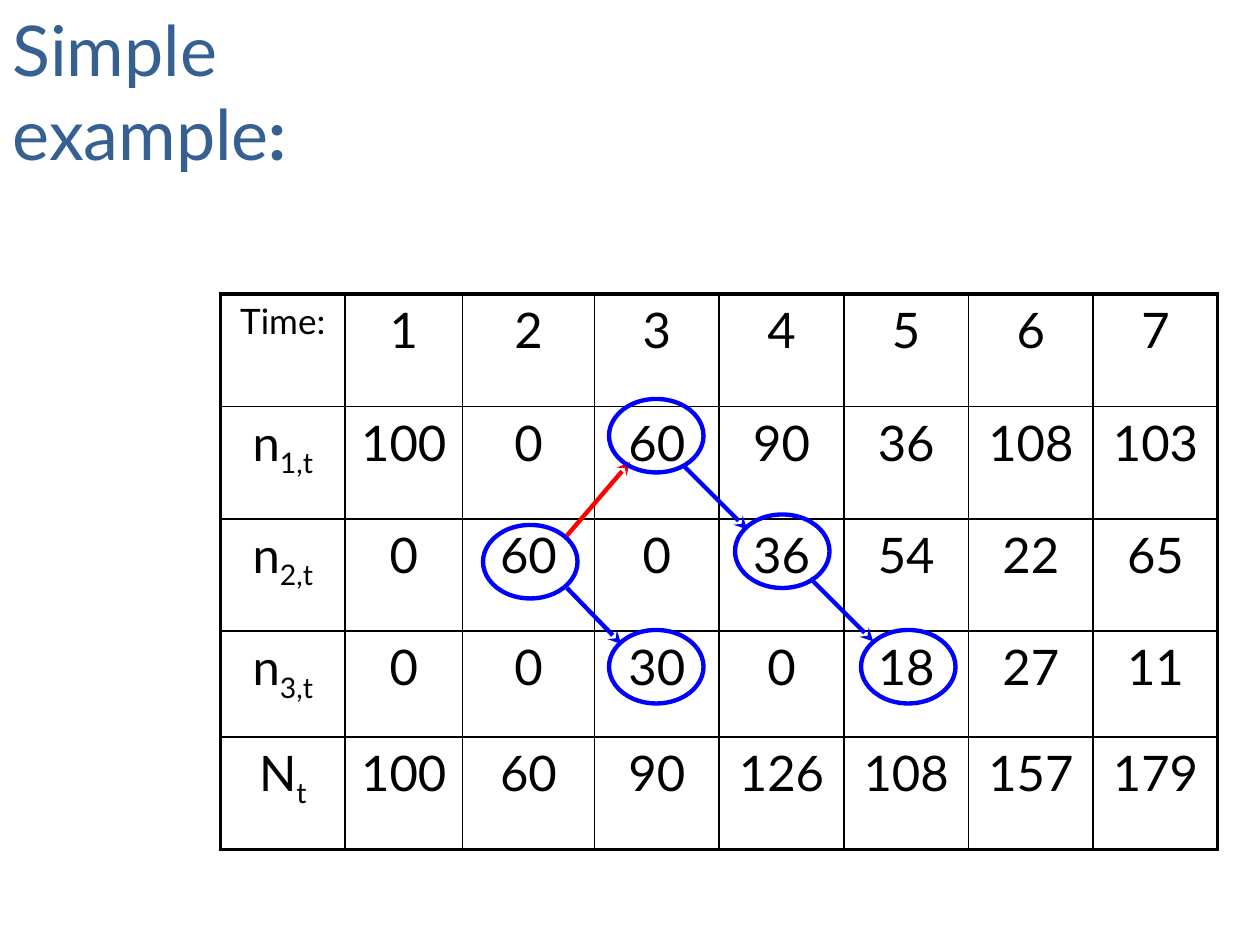
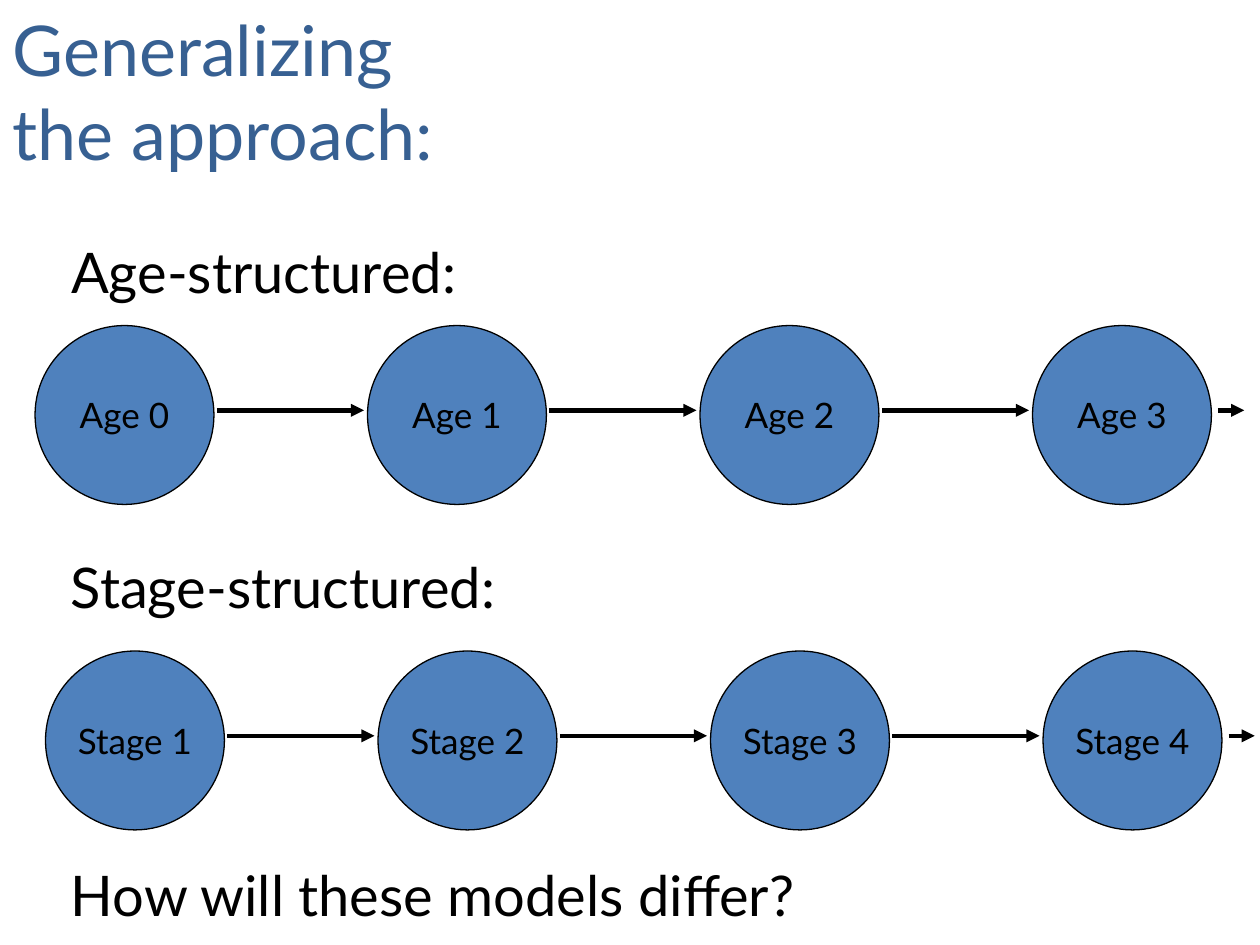
from lxml import etree
from pptx import Presentation
from pptx.dml.color import RGBColor
from pptx.enum import shapes, text
from pptx.oxml import ns
from pptx.util import Pt

FONT = "Lato"
TITLE_BLUE = RGBColor(0x37, 0x60, 0x92)
CIRCLE_BLUE = RGBColor(0x4F, 0x81, 0xBD)
BLUE = RGBColor(0x00, 0x00, 0xFF)
RED = RGBColor(0xFF, 0x00, 0x00)
BLACK = RGBColor(0x00, 0x00, 0x00)

# Population table: plain part and subscript of each row label, then the values
POPULATION = [
    ("Time:", "", [1, 2, 3, 4, 5, 6, 7]),
    ("n", "1,t", [100, 0, 60, 90, 36, 108, 103]),
    ("n", "2,t", [0, 60, 0, 36, 54, 22, 65]),
    ("n", "3,t", [0, 0, 30, 0, 18, 27, 11]),
    ("N", "t", [100, 60, 90, 126, 108, 157, 179]),
]
COLUMN_WIDTHS = [71.25, 67, 75.5] + [71.25] * 5
ROW_HEIGHTS = [64.25, 64.25, 64.25, 60.5, 64.25]

# Rings around table values (left, top) and arrows between them
RINGS = [(276, 300), (348, 228), (420, 294), (492, 360), (348, 360)]
RING_ARROWS = [
    ((324, 306), (360, 264), RED),
    ((391, 266.5), (427, 302.5), BLUE),
    ((463, 330.5), (499, 366.5), BLUE),
    ((324, 336), (355, 368), BLUE),
]

CIRCLE_SIZE = 102.25
CIRCLE_PITCH = 190


def style(para, size, color=BLACK, align=text.PP_ALIGN.LEFT):
    para.alignment = align
    para.font.name = FONT
    para.font.size = Pt(size)
    para.font.color.rgb = color


def add_titled_slide(deck, lines):
    page = deck.slides.add_slide(deck.slide_layouts[5])
    title = page.shapes.title
    title.left, title.top, title.width, title.height = Pt(0), Pt(0), Pt(272), Pt(104.5)
    frame = title.text_frame
    frame.text = "\n".join(lines)
    frame.vertical_anchor = text.MSO_ANCHOR.TOP
    frame.auto_size = text.MSO_AUTO_SIZE.NONE
    for para in frame.paragraphs:
        style(para, 40, TITLE_BLUE)
    return page


def add_heading(page, words, top, width):
    box = page.shapes.add_textbox(Pt(33.5), Pt(top), Pt(width), Pt(46))
    box.text_frame.text = words
    style(box.text_frame.paragraphs[0], 32)


def add_arrow(page, start, end, color, head):
    arrow = page.shapes.add_connector(
        shapes.MSO_CONNECTOR.STRAIGHT, *[Pt(value) for value in (*start, *end)])
    arrow.line.color.rgb = color
    arrow.line.width = Pt(2.5)
    etree.SubElement(arrow.line._get_or_add_ln(), ns.qn("a:tailEnd"), type=head)
    etree.SubElement(arrow._element.spPr, ns.qn("a:effectLst"))


def add_ellipse(page, left, top, width, height, line_color, line_width):
    ellipse = page.shapes.add_shape(
        shapes.MSO_SHAPE.OVAL, Pt(left), Pt(top), Pt(width), Pt(height))
    ellipse.shadow.inherit = False
    ellipse.fill.background()
    ellipse.line.color.rgb = line_color
    ellipse.line.width = Pt(line_width)
    return ellipse


def set_border(cell, side, width):
    line = etree.SubElement(
        cell._tc.get_or_add_tcPr(), ns.qn(f"a:ln{side}"), w=str(Pt(width)))
    fill = etree.SubElement(line, ns.qn("a:solidFill"))
    etree.SubElement(fill, ns.qn("a:srgbClr"), val=str(BLACK))


def fill_cell(cell, words, subscript, size, outer_sides):
    for side in "LRTB":
        set_border(cell, side, 2.25 if side in outer_sides else 1)
    cell.fill.background()
    para = cell.text_frame.paragraphs[0]
    style(para, size, align=text.PP_ALIGN.CENTER)
    para.add_run().text = words
    if subscript:
        span = para.add_run()
        span.text = subscript
        span.font._element.set("baseline", "-25000")


def add_population_table(page):
    table = page.shapes.add_table(
        len(ROW_HEIGHTS), len(COLUMN_WIDTHS), Pt(126), Pt(168),
        Pt(sum(COLUMN_WIDTHS)), Pt(sum(ROW_HEIGHTS))).table
    table.first_row = table.horz_banding = False
    for column, width in zip(table.columns, COLUMN_WIDTHS):
        column.width = Pt(width)
    last_row, last_column = len(ROW_HEIGHTS) - 1, len(COLUMN_WIDTHS) - 1
    for r, (label, subscript, values) in enumerate(POPULATION):
        table.rows[r].height = Pt(ROW_HEIGHTS[r])
        for c, words in enumerate([label, *values]):
            outer = {"T": r == 0, "B": r == last_row, "L": c == 0, "R": c == last_column}
            fill_cell(table.cell(r, c), str(words), subscript if c == 0 else "",
                      20 if r == c == 0 else 28,
                      [side for side, is_outer in outer.items() if is_outer])


def add_circle_chain(page, left, top, labels):
    """Draw labelled circles in a row, each followed by an arrow."""
    arrow_y = top + 48.5
    for i, label in enumerate(labels):
        x = left + i * CIRCLE_PITCH
        circle = add_ellipse(page, x, top, CIRCLE_SIZE, CIRCLE_SIZE, BLACK, 0.75)
        circle.fill.solid()
        circle.fill.fore_color.rgb = CIRCLE_BLUE
        frame = circle.text_frame
        frame.margin_left = frame.margin_right = 0
        frame.text = label
        style(frame.paragraphs[0], 20, align=text.PP_ALIGN.CENTER)
        # The last arrow is a stub that runs towards the slide edge
        is_last = i == len(labels) - 1
        start = x + (106 if is_last else 104)
        end = start + (15 if is_last else 84)
        add_arrow(page, (start, arrow_y), (end, arrow_y), BLACK, "triangle")


def build_example(deck):
    page = add_titled_slide(deck, ["Simple", "example"])
    colon = page.shapes.title.text_frame.paragraphs[1].add_run()
    colon.text = ":"
    colon.font.bold = True
    add_population_table(page)
    for start, end, color in RING_ARROWS:
        add_arrow(page, start, end, color, "stealth")
    for left, top in RINGS:
        add_ellipse(page, left, top, 54, 42, BLUE, 2.5)


def build_generalization(deck):
    page = add_titled_slide(deck, ["Generalizing", "the approach:"])
    add_heading(page, "Age-structured:", 132, 240)
    add_circle_chain(page, 20, 186, [f"Age {n}" for n in range(4)])
    add_heading(page, "Stage-structured:", 312, 263)
    add_circle_chain(page, 26, 372, [f"Stage {n}" for n in range(1, 5)])
    add_heading(page, "How will these models differ?", 488, 438)


def main():
    deck = Presentation()
    deck.slide_width, deck.slide_height = Pt(720), Pt(540)
    build_example(deck)
    build_generalization(deck)
    deck.save("out.pptx")


if __name__ == "__main__":
    main()
